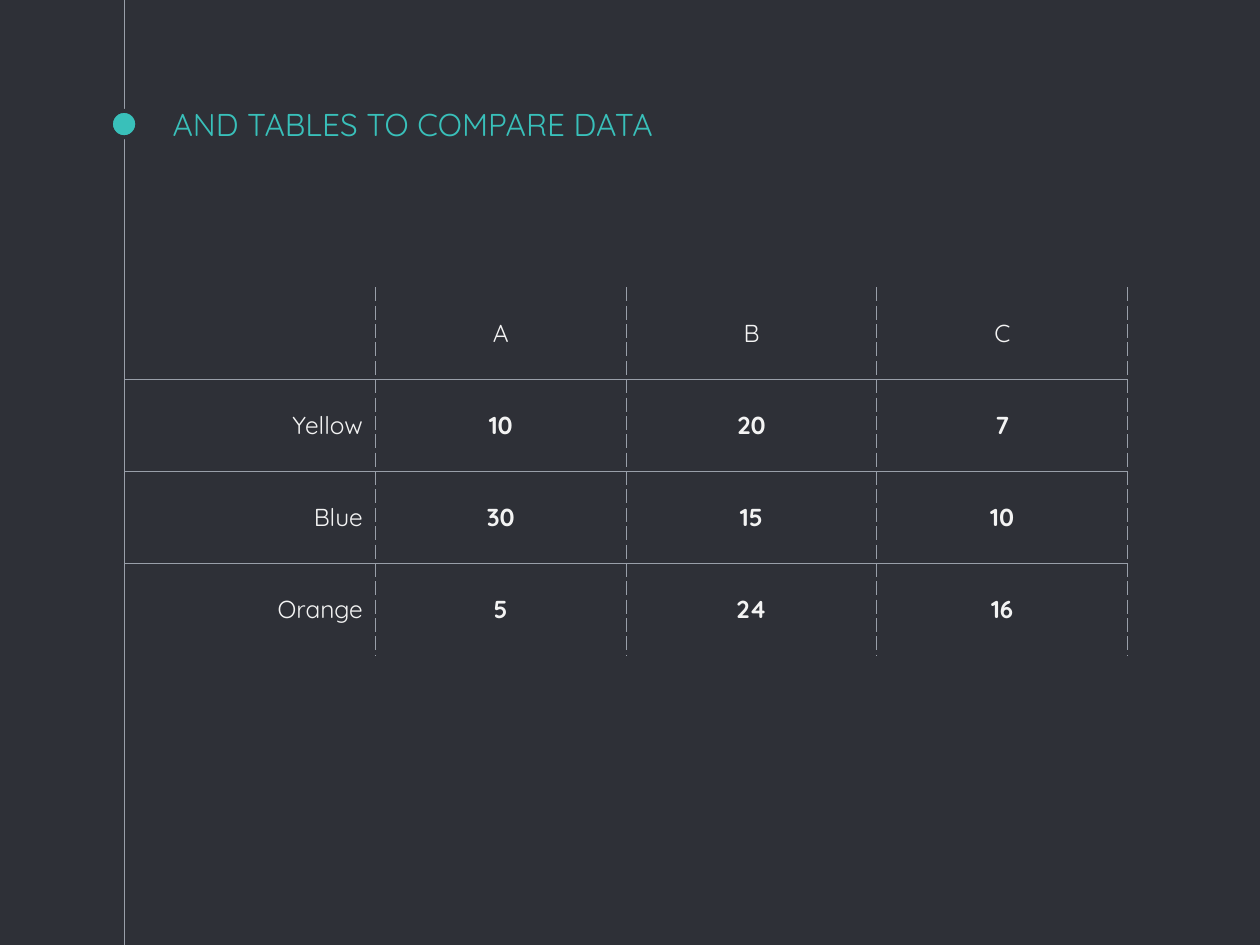
from dataclasses import dataclass

from lxml.etree import SubElement
from pptx import Presentation
from pptx.dml.color import RGBColor
from pptx.enum.shapes import MSO_CONNECTOR as Connector, MSO_SHAPE as Shape
from pptx.enum.text import MSO_ANCHOR as Anchor, MSO_AUTO_SIZE as AutoSize, PP_ALIGN as Align
from pptx.oxml.ns import qn
from pptx.slide import Slide
from pptx.table import _Cell as Cell
from pptx.text.text import _Paragraph as Paragraph
from pptx.util import Inches, Pt


@dataclass(frozen=True)
class Theme:
    background: str = "2E3037"
    accent: str = "39C0BA"
    rule: str = "999FA9"
    text: str = "F3F3F3"
    font: str = "Quicksand"
    title_size: float = 18
    cell_size: float = 14
    rule_width: float = 0.75
    halo_width: float = 2.25


@dataclass(frozen=True)
class Row:
    label: str
    values: tuple[str, ...]
    bold: bool = True


THEME = Theme()
RAIL_X = 0.99
TABLE_TOP = 2.28
COLUMN_WIDTH = 1.99
ROW_HEIGHT = 0.73
MARGIN = 0.1
ROWS = (
    Row("", ("A", "B", "C"), bold=False),
    Row("Yellow", ("10", "20", "7")),
    Row("Blue", ("30", "15", "10")),
    Row("Orange", ("5", "24", "16")),
)


def color(value: str) -> RGBColor:
    return RGBColor.from_string(value)


def add_run(para: Paragraph, text: str, size: float, ink: str, bold: bool = False) -> None:
    run = para.add_run()
    run.text = text
    run.font.name = THEME.font
    run.font.size = Pt(size)
    run.font.bold = bold
    run.font.color.rgb = color(ink)


def add_rail(slide: Slide) -> None:
    """Draw the full-height line and the dot beside the title."""
    rail = slide.shapes.add_connector(
        Connector.STRAIGHT, Inches(RAIL_X), Inches(-0.01), Inches(RAIL_X), Inches(7.5)
    )
    rail.line.color.rgb = color(THEME.rule)
    rail.line.width = Pt(THEME.rule_width)
    SubElement(rail._element.spPr, qn("a:effectLst"))

    dot = slide.shapes.add_shape(
        Shape.OVAL, Inches(0.88), Inches(0.88), Inches(0.21), Inches(0.21)
    )
    dot.shadow.inherit = False
    dot.fill.solid()
    dot.fill.fore_color.rgb = color(THEME.accent)
    dot.line.color.rgb = color(THEME.background)
    dot.line.width = Pt(THEME.halo_width)


def set_title(slide: Slide, text: str) -> None:
    title = slide.shapes.title
    title.left, title.top = Inches(1.27), Inches(0.73)
    title.width, title.height = Inches(7.5), Inches(0.5)
    frame = title.text_frame
    frame.word_wrap = True
    frame.auto_size = AutoSize.NONE
    frame.vertical_anchor = Anchor.BOTTOM
    frame.margin_left = frame.margin_right = Inches(MARGIN)
    frame.margin_top = frame.margin_bottom = Inches(MARGIN)
    para = frame.paragraphs[0]
    para.alignment = Align.LEFT
    add_run(para, text, THEME.title_size, THEME.accent)


def add_border(cell: Cell, side: str, dash: str | None) -> None:
    """Set one cell border; a dash of None hides it."""
    properties = cell._tc.get_or_add_tcPr()
    line = SubElement(properties, qn(f"a:ln{side}"), w=str(Pt(THEME.rule_width)))
    if dash is None:
        SubElement(line, qn("a:noFill"))
        return
    fill = SubElement(line, qn("a:solidFill"))
    SubElement(fill, qn("a:srgbClr"), val=THEME.rule)
    SubElement(line, qn("a:prstDash"), val=dash)


def fill_cell(cell: Cell, text: str, align: Align, bold: bool) -> None:
    cell.vertical_anchor = Anchor.MIDDLE
    cell.margin_left = cell.margin_right = Inches(MARGIN)
    cell.margin_top = cell.margin_bottom = Inches(MARGIN)
    para = cell.text_frame.paragraphs[0]
    para.alignment = align
    if text:
        add_run(para, text, THEME.cell_size, THEME.text, bold)


def add_comparison(slide: Slide, rows: tuple[Row, ...]) -> None:
    column_count = len(rows[0].values) + 1
    table = slide.shapes.add_table(
        len(rows), column_count, Inches(RAIL_X), Inches(TABLE_TOP),
        Inches(COLUMN_WIDTH * column_count), Inches(ROW_HEIGHT * len(rows)),
    ).table
    table.first_row = table.horz_banding = False
    last = len(rows) - 1
    for index, row in enumerate(rows):
        for column, text in enumerate((row.label, *row.values)):
            cell = table.cell(index, column)
            is_label = column == 0
            fill_cell(cell, text, Align.RIGHT if is_label else Align.CENTER,
                      row.bold and not is_label)
            add_border(cell, "L", "dash")
            add_border(cell, "R", "dash")
            add_border(cell, "T", "solid" if index > 0 else None)
            add_border(cell, "B", "solid" if index < last else None)
            cell.fill.background()


def main() -> None:
    deck = Presentation()
    deck.slide_width, deck.slide_height = Inches(10), Inches(7.5)
    slide = deck.slides.add_slide(deck.slide_layouts.get_by_name("Title Only"))
    slide.background.fill.solid()
    slide.background.fill.fore_color.rgb = color(THEME.background)
    add_rail(slide)
    set_title(slide, "AND TABLES TO COMPARE DATA")
    add_comparison(slide, ROWS)
    deck.save("out.pptx")


if __name__ == "__main__":
    main()
